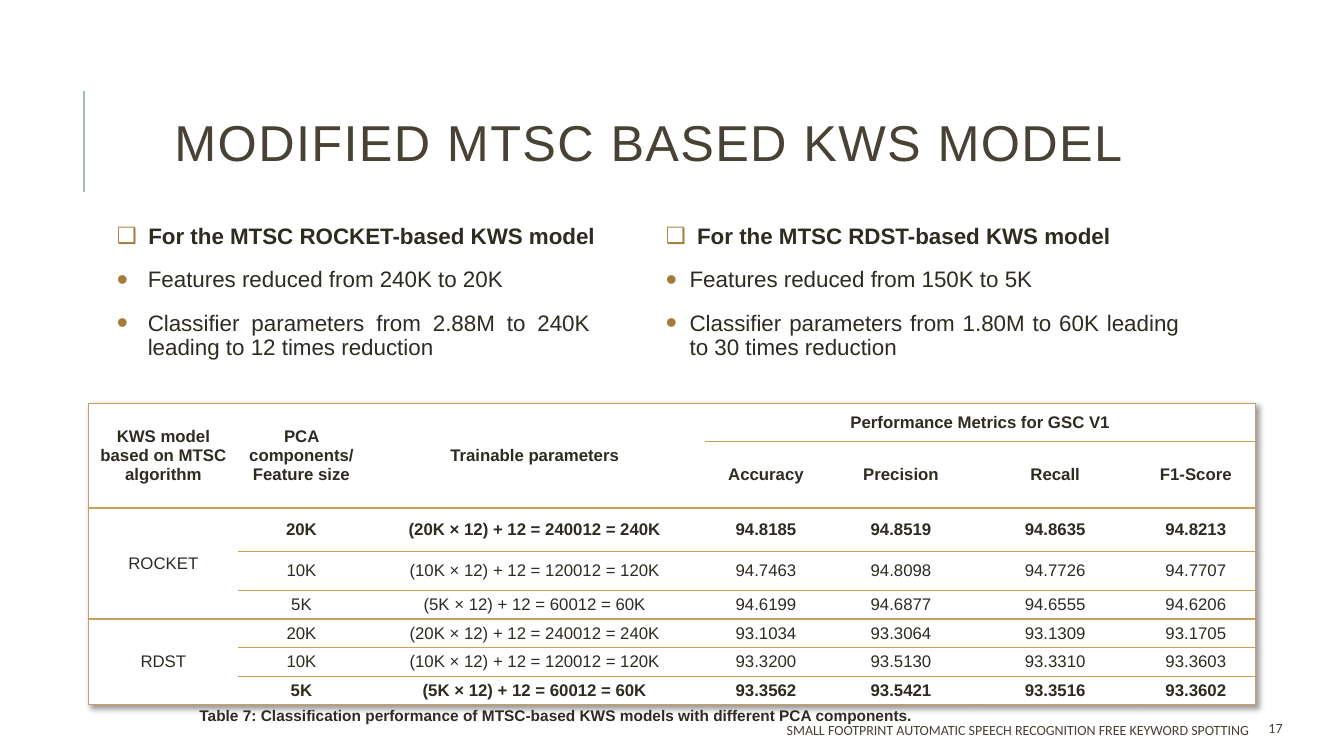
from lxml import etree
from pptx import Presentation
from pptx.dml.color import RGBColor
from pptx.enum.shapes import MSO_CONNECTOR
from pptx.enum.text import MSO_ANCHOR, MSO_AUTO_SIZE, PP_ALIGN
from pptx.oxml import parse_xml
from pptx.oxml.ns import qn
from pptx.util import Pt

LINE = MSO_CONNECTOR.STRAIGHT
MID, TOP = MSO_ANCHOR.MIDDLE, MSO_ANCHOR.TOP
FIXED = MSO_AUTO_SIZE.NONE
LEFT, MEAN, RIGHT, FULL = PP_ALIGN.LEFT, PP_ALIGN.CENTER, PP_ALIGN.RIGHT, PP_ALIGN.JUSTIFY
INK, BROWN, GOLD, RULE, TEAL = "2E2B21", "474233", "A47B38", "C89F5D", "9CBEBD"
NS = 'xmlns:a="http://schemas.openxmlformats.org/drawingml/2006/main"'
PLAIN = "{2D5ABB26-0587-4C30-8999-92F81FD0307C}"

COLS = (106.6, 90.7, 242.6, 87.8, 105.1, 115.2, 85.7)
ROWS = (27.4, 47.5, 31, 28, 20.4, 20.4, 20.4, 20.4)
SPANS = ((0, 0, 1, 0), (0, 1, 1, 1), (0, 2, 1, 2), (0, 3, 0, 6), (2, 0, 4, 0), (5, 0, 7, 0))
BOLD = (0, 1, 2, 7)
SIZES = {
    "20K": "(20K × 12) + 12 = 240012 = 240K",
    "10K": "(10K × 12) + 12 = 120012 = 120K",
    "5K": "(5K × 12) + 12 = 60012 = 60K",
}
HEADS = (
    ("KWS model based on MTSC algorithm", "PCA components/ Feature size",
     "Trainable parameters", "Performance Metrics for GSC V1", "", "", ""),
    ("", "", "", "Accuracy", "Precision", "Recall", "F1-Score"),
)
SCORES = {
    "ROCKET": (("94.8185", "94.8519", "94.8635", "94.8213"),
               ("94.7463", "94.8098", "94.7726", "94.7707"),
               ("94.6199", "94.6877", "94.6555", "94.6206")),
    "RDST": (("93.1034", "93.3064", "93.1309", "93.1705"),
             ("93.3200", "93.5130", "93.3310", "93.3603"),
             ("93.3562", "93.5421", "93.3516", "93.3602")),
}
POINTS = (
    (80, 22, 29, ("For the MTSC ROCKET-based KWS model", "Features reduced from 240K to 20K",
                  "Classifier parameters from 2.88M to 240K leading to 12 times reduction")),
    (472, 17, 0, ("For the MTSC RDST-based KWS model", "Features reduced from 150K to 5K",
                  "Classifier parameters from 1.80M to 60K leading to 30 times reduction")),
)


def color(code):
    """Turn a hex string into a colour."""
    return RGBColor.from_string(code)


def write(frame, text, size=12, font="Arial", ink=INK, bold=False, align=LEFT,
          space=None, track=0):
    """Add one formatted paragraph to a text frame and return it."""
    para = frame.paragraphs[0]
    if para.runs:
        para = frame.add_paragraph()
    para.alignment = align
    if space:
        para.line_spacing = space
    run = para.add_run()
    run.text = text
    run.font.size = Pt(size)
    run.font.name = font
    run.font.bold = bold
    run.font.color.rgb = color(ink)
    if track:
        run.font._element.set("spc", str(track))
    return para


def add_box(slide, left, top, width, height, anchor=TOP):
    """Add a wrapping text box and return its frame."""
    frame = slide.shapes.add_textbox(Pt(left), Pt(top), Pt(width), Pt(height)).text_frame
    frame.word_wrap = True
    frame.vertical_anchor = anchor
    return frame


def add_mark(para, char, scale, hang, inset):
    """Give a paragraph a bullet and a hanging indent."""
    props = para._p.get_or_add_pPr()
    props.set("marL", str(Pt(hang)))
    props.set("indent", str(-Pt(hang)))
    props.set("marR", str(Pt(inset)))
    for part in (f'<a:buClr {NS}><a:srgbClr val="{GOLD}"/></a:buClr>',
                 f'<a:buSzPct {NS} val="{scale * 1000}"/>',
                 f'<a:buFont {NS} typeface="Arial"/>',
                 f'<a:buChar {NS} char="{char}"/>'):
        props.append(parse_xml(part))


def add_points(slide, left, hang, inset, lines):
    """Add a bold heading and its bullet points."""
    frame = add_box(slide, left, 157, 374, 115)
    frame.margin_left = frame.margin_right = Pt(3.6)
    for i, line in enumerate(lines):
        para = write(frame, line, size=16, bold=i == 0, align=FULL, space=0.9)
        para.space_before, para.space_after = Pt(12), Pt(2)
        if i:
            add_mark(para, "•", 142, hang, inset)
        else:
            add_mark(para, "❑", 100, 22.4, 0)


def add_title(slide, text):
    """Place the title and the rule beside it."""
    title = slide.shapes.title
    title.left, title.top, title.width, title.height = Pt(81), Pt(46), Pt(765), Pt(118)
    frame = title.text_frame
    frame.auto_size = FIXED
    frame.vertical_anchor = MID
    write(frame, text, size=36, ink=BROWN, align=MEAN, space=0.8, track=100)
    rule = slide.shapes.add_connector(LINE, Pt(60), Pt(137), Pt(60), Pt(65))
    rule.line.color.rgb = color(TEAL)
    rule.line.width = Pt(1.5)
    etree.SubElement(rule._element.spPr, qn("a:effectLst"))


def add_edges(cell, shown):
    """Draw the listed sides of a cell and hide the others."""
    props = cell._tc.get_or_add_tcPr()
    for i, side in enumerate("LRTB"):
        fill = f'<a:solidFill><a:srgbClr val="{RULE}"/></a:solidFill>'
        if side not in shown:
            fill = "<a:noFill/>"
        props.insert(i, parse_xml(f'<a:ln{side} {NS} w="{Pt(1)}">{fill}</a:ln{side}>'))


def find_edges(cell, row, col, inner):
    """List the ruled sides of a cell, given the cells joined to the one above."""
    sides = "" if (row, col) in inner else "T"
    if cell.is_merge_origin or (row + 1, col) not in inner:
        sides += "B"
    if col == 0:
        sides += "L"
    wide = cell.span_width if cell.is_merge_origin else 1
    if col + wide == len(COLS):
        sides += "R"
    return sides


def add_shade(table):
    """Drop the banded style and add a soft shadow."""
    table.first_row = table.horz_banding = False
    props = table._tbl.tblPr
    props.find(qn("a:tableStyleId")).text = PLAIN
    props.insert(0, parse_xml(
        f'<a:effectLst {NS}><a:outerShdw blurRad="{Pt(4)}" dist="{Pt(3)}" dir="2700000" '
        'algn="tl" rotWithShape="0"><a:srgbClr val="000000"><a:alpha val="40000"/>'
        '</a:srgbClr></a:outerShdw></a:effectLst>'))


def add_grid(slide):
    """Add the table of scores."""
    data = list(HEADS)
    for name, block in SCORES.items():
        for i, (size, scores) in enumerate(zip(SIZES, block)):
            data.append((name if i == 0 else "", size, SIZES[size], *scores))
    table = slide.shapes.add_table(len(ROWS), len(COLS), Pt(63.4), Pt(288),
                                   Pt(sum(COLS)), Pt(sum(ROWS))).table
    add_shade(table)
    for col, width in zip(table.columns, COLS):
        col.width = Pt(width)
    for row, height in zip(table.rows, ROWS):
        row.height = Pt(height)
    inner = set()
    for top, left, end, last in SPANS:
        table.cell(top, left).merge(table.cell(end, last))
        inner.update((row, left) for row in range(top + 1, end + 1))
    for r, texts in enumerate(data):
        for c, text in enumerate(texts):
            cell = table.cell(r, c)
            cell.vertical_anchor = MID
            cell.margin_left = cell.margin_right = Pt(3.6)
            cell.margin_top = cell.margin_bottom = Pt(1.8)
            cell.fill.solid()
            cell.fill.fore_color.rgb = color("FFFFFF")
            add_edges(cell, find_edges(cell, r, c, inner))
            if text:
                bold = r in BOLD and text not in SCORES
                write(cell.text_frame, text, bold=bold, align=MEAN)


def main():
    """Build the slide and save it."""
    deck = Presentation()
    deck.slide_width, deck.slide_height = Pt(960), Pt(540)
    slide = deck.slides.add_slide(deck.slide_layouts[5])
    add_title(slide, "MODIFIED MTSC BASED KWS MODEL")
    for column in POINTS:
        add_points(slide, *column)
    write(add_box(slide, 435, 510.5, 464, 21.6, MID),
          "SMALL FOOTPRINT AUTOMATIC SPEECH RECOGNITION FREE KEYWORD SPOTTING",
          size=10, font="Calibri", ink=BROWN, align=RIGHT)
    write(add_box(slide, 899, 509, 61, 21.6, MID), "17", size=10, font="Calibri", ink=BROWN)
    add_grid(slide)
    write(add_box(slide, 135.4, 500.8, 535, 21),
          "Table 7: Classification performance of MTSC-based KWS models "
          "with different PCA components.", size=11, bold=True)
    deck.save("out.pptx")


if __name__ == "__main__":
    main()
